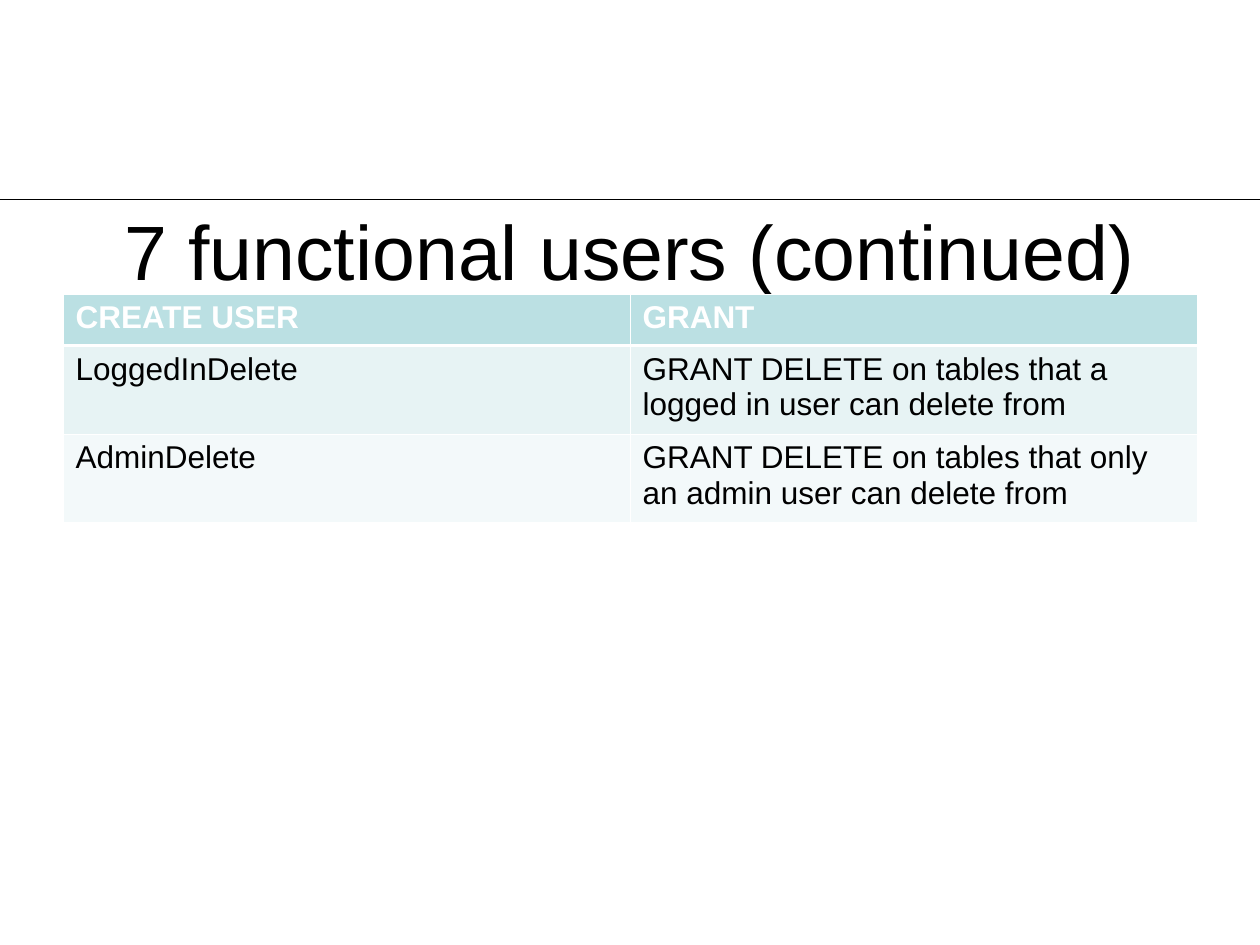
from lxml.etree import SubElement
from pptx import Presentation
from pptx.dml.color import RGBColor as Color
from pptx.enum.shapes import MSO_CONNECTOR as Connector
from pptx.enum.text import MSO_ANCHOR as Anchor, PP_ALIGN as Align
from pptx.oxml.ns import qn
from pptx.util import Pt

TITLE = "7 functional users (continued)"
ROWS = [
    ("CREATE USER", "GRANT"),
    ("LoggedInDelete", "GRANT DELETE on tables that a logged in user can delete from"),
    ("AdminDelete", "GRANT DELETE on tables that only an admin user can delete from"),
]
ROW_HEIGHTS = [29.5, 50.4, 50.4]
ROW_FILLS = ["header", "band", "plain"]
COLORS = {
    "black": "000000",
    "white": "FFFFFF",
    "header": "BBE0E3",
    "band": "E7F3F4",
    "plain": "F3F9FA",
}
FONT = "Arial"
SLIDE_WIDTH, SLIDE_HEIGHT = 720, 540
MARGIN = 36
CONTENT_WIDTH = SLIDE_WIDTH - 2 * MARGIN
RULE_TOP, TITLE_TOP, TITLE_HEIGHT, TABLE_TOP = 113.8, 120.2, 44.6, 168
THIN, THICK = 0.45, 1.47


def color(name):
    return Color.from_string(COLORS[name])


def format_text(text_frame, size, color_name, bold=False):
    for paragraph in text_frame.paragraphs:
        for run in paragraph.runs:
            run.font.name = FONT
            run.font.size = Pt(size)
            run.font.bold = bold
            run.font.color.rgb = color(color_name)


def add_borders(cell, widths):
    properties = cell._tc.get_or_add_tcPr()
    for position, (side, width) in enumerate(widths.items()):
        line = properties.makeelement(qn(f"a:{side}"), {"w": str(int(Pt(width)))})
        fill = SubElement(line, qn("a:solidFill"))
        SubElement(fill, qn("a:srgbClr"), val=COLORS["white"])
        properties.insert(position, line)


def add_rule(slide):
    rule = slide.shapes.add_connector(
        Connector.STRAIGHT, Pt(0), Pt(RULE_TOP), Pt(SLIDE_WIDTH), Pt(RULE_TOP)
    )
    rule.line.color.rgb = color("black")
    rule.line.width = Pt(0.25)
    SubElement(rule._element.spPr, qn("a:effectLst"))


def add_title(slide):
    box = slide.shapes.add_textbox(
        Pt(MARGIN), Pt(TITLE_TOP), Pt(CONTENT_WIDTH), Pt(TITLE_HEIGHT)
    )
    text_frame = box.text_frame
    text_frame.word_wrap = True
    text_frame.vertical_anchor = Anchor.MIDDLE
    text_frame.margin_top = text_frame.margin_bottom = Pt(0)
    text_frame.text = TITLE
    text_frame.paragraphs[0].alignment = Align.CENTER
    format_text(text_frame, 44, "black")


def add_user_table(slide):
    column_count = len(ROWS[0])
    table = slide.shapes.add_table(
        len(ROWS), column_count, Pt(MARGIN), Pt(TABLE_TOP),
        Pt(CONTENT_WIDTH), Pt(sum(ROW_HEIGHTS)),
    ).table
    for column in table.columns:
        column.width = Pt(CONTENT_WIDTH / column_count)
    for row_index, texts in enumerate(ROWS):
        table.rows[row_index].height = Pt(ROW_HEIGHTS[row_index])
        is_header = row_index == 0
        borders = {
            "lnL": THIN,
            "lnR": THIN,
            "lnT": THICK if row_index == 1 else THIN,
            "lnB": THICK if is_header else THIN,
        }
        for column_index, text in enumerate(texts):
            cell = table.cell(row_index, column_index)
            cell.text_frame.text = text
            format_text(cell.text_frame, 18, "white" if is_header else "black", is_header)
            cell.fill.solid()
            cell.fill.fore_color.rgb = color(ROW_FILLS[row_index])
            add_borders(cell, borders)


def main():
    presentation = Presentation()
    presentation.slide_width = Pt(SLIDE_WIDTH)
    presentation.slide_height = Pt(SLIDE_HEIGHT)
    slide = presentation.slides.add_slide(presentation.slide_layouts[6])
    add_rule(slide)
    add_title(slide)
    add_user_table(slide)
    presentation.save("out.pptx")


if __name__ == "__main__":
    main()
